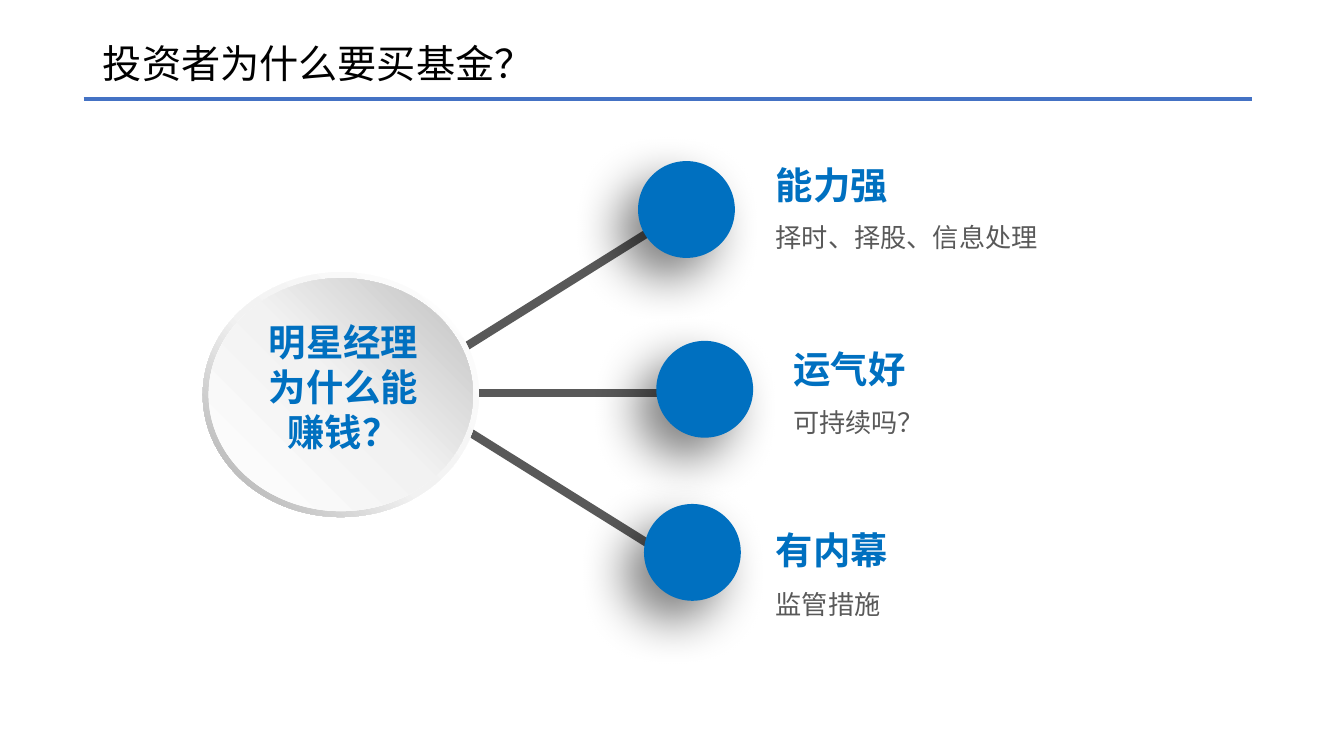
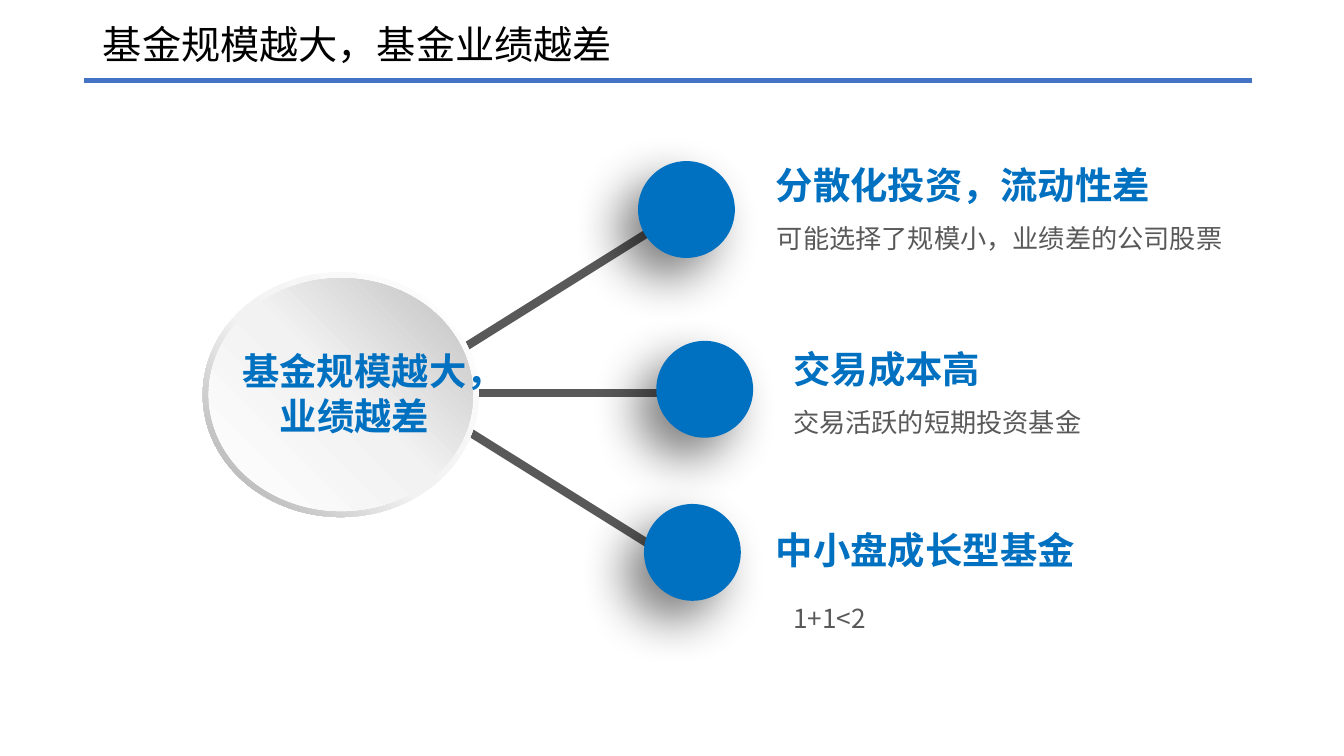
from pptx import Presentation
from pptx.dml.color import RGBColor
from pptx.enum.shapes import MSO_CONNECTOR as Connector, MSO_SHAPE as Shape
from pptx.enum.text import MSO_ANCHOR as Anchor, MSO_AUTO_SIZE as AutoSize, PP_ALIGN as Align
from pptx.oxml.ns import qn
from pptx.util import Cm, Pt
from lxml.etree import SubElement

COLORS = {
    "blue": "0070C0", "gray": "595959", "rule": "4472C4", "black": "000000",
    "white": "FFFFFF", "light": "F2F2F2", "ring": "A6A6A6", "disc": "BFBFBF",
}
FONT = "Noto Sans CJK SC"
TITLE_ONLY = 5

# Diagram geometry in cm, relative to the diagram's top left corner
DIAGRAM = (5.11, 4.06)
HUB = (0, 2.8, 6.96, 6.17)
RIM = 0.15
DOT_SIZE = 2.44
SPOKES = [((4.75, 5.85), (11.37, 1.71)),
          ((4.75, 5.85), (12.19, 5.85)),
          ((4.9, 5.69), (11.45, 9.78))]
DOTS = [(10.97, 0), (11.43, 4.53), (11.12, 8.64)]
HEADINGS = [(14.19, -0.12), (14.63, 4.53), (14.19, 9.1)]

# Detail offsets are measured from the heading, hub label boxes from the hub
SLIDES = [
    {
        "title": "投资者为什么要买基金？", "rule_top": 2.49,
        "hub": ["明星经理", "为什么能", "赚钱？"], "hub_box": (-3.79, 1.04, 14.68, 3.68),
        "branches": [("能力强", "择时、择股、信息处理", (0, 1.32)),
                     ("运气好", "可持续吗？", (0, 1.32)),
                     ("有内幕", "监管措施", (0, 1.34))],
    },
    {
        "title": "基金规模越大，基金业绩越差", "rule_top": 2.03,
        "hub": ["基金规模越大，业绩越差"], "hub_box": (0.61, 1.78, 6.43, 2.54),
        "branches": [("分散化投资，流动性差", "可能选择了规模小，业绩差的公司股票", (0.03, 1.34)),
                     ("交易成本高", "交易活跃的短期投资基金", (0, 1.32)),
                     ("中小盘成长型基金", "1+1<2", (0.44, 1.7))],
    },
]


def rgb(name):
    return RGBColor.from_string(COLORS[name])


def write(frame, lines, size, color, bold=False, align=Align.LEFT, spacing=None):
    """Fill a text frame with one paragraph per line, centred vertically."""
    frame.word_wrap = True
    frame.auto_size = AutoSize.NONE
    frame.vertical_anchor = Anchor.MIDDLE
    for index, line in enumerate(lines):
        paragraph = frame.add_paragraph() if index else frame.paragraphs[0]
        paragraph.text = line
        paragraph.alignment = align
        paragraph.line_spacing = spacing
        font = paragraph.font
        font.name, font.size, font.bold = FONT, Pt(size), bold
        font.color.rgb = rgb(color)
        properties = paragraph._p.pPr.find(qn("a:defRPr"))
        SubElement(properties, qn("a:ea"), typeface=FONT)


def add_text(shapes, box, lines, size, color, **style):
    textbox = shapes.add_textbox(*map(Cm, box))
    write(textbox.text_frame, lines, size, color, **style)


def add_line(slide, start, end, color, width):
    line = slide.shapes.add_connector(Connector.STRAIGHT, *map(Cm, start + end))
    line.line.color.rgb = rgb(color)
    line.line.width = Pt(width)
    SubElement(line._element.spPr, qn("a:effectLst"))


def add_plain_shape(shapes, kind, box):
    shape = shapes.add_shape(kind, *map(Cm, box))
    shape.shadow.inherit = False
    shape.line.fill.background()
    return shape


def set_gradient(shape, stops, angle):
    """Angle is counter-clockwise, stops are (percent, colour name)."""
    shape.fill.gradient()
    shape.fill.gradient_angle = angle
    stop_list = shape._element.spPr.find(".//" + qn("a:gsLst"))
    for stop in list(stop_list):
        stop_list.remove(stop)
    for percent, color in stops:
        stop = SubElement(stop_list, qn("a:gs"), pos=str(percent * 1000))
        SubElement(stop, qn("a:srgbClr"), val=COLORS[color])


def set_soft_shadow(shape):
    effects = shape._element.spPr.find(qn("a:effectLst"))
    shadow = SubElement(effects, qn("a:outerShdw"), blurRad=str(Pt(35)), dist=str(Pt(20)),
                        dir=str(135 * 60000), algn="tr", rotWithShape="0")
    color = SubElement(shadow, qn("a:srgbClr"), val=COLORS["black"])
    SubElement(color, qn("a:alpha"), val="50000")


def shift(origin, offset):
    return (origin[0] + offset[0], origin[1] + offset[1])


def add_header(slide, text, rule_top):
    title = slide.shapes.title
    title.left, title.top = Cm(2.34), Cm(rule_top - 1.59)
    title.width, title.height = Cm(29.21), Cm(1.5)
    write(title.text_frame, [text], 28, "black", spacing=0.9)
    add_line(slide, (2.11, rule_top), (31.55, rule_top), "rule", 3)


def add_hub(slide, box, lines, label_box):
    left, top, width, height = box
    shapes = slide.shapes.add_group_shape().shapes
    ring = add_plain_shape(shapes, Shape.DONUT, box)
    ring.adjustments[0] = 0.049
    set_gradient(ring, [(0, "white"), (55, "light"), (100, "ring")], 225)
    disc = add_plain_shape(shapes, Shape.OVAL,
                           (left + RIM, top + RIM, width - 2 * RIM, height - 2 * RIM))
    set_gradient(disc, [(0, "white"), (51, "light"), (100, "disc")], 45)
    add_text(shapes, shift(box, label_box) + label_box[2:], lines, 26.7, "blue",
             bold=True, align=Align.CENTER, spacing=Pt(32))


def add_dot(slide, position):
    dot = add_plain_shape(slide.shapes, Shape.OVAL, position + (DOT_SIZE, DOT_SIZE))
    dot.fill.solid()
    dot.fill.fore_color.rgb = rgb("blue")
    set_soft_shadow(dot)


def add_branch_text(slide, position, heading, detail, detail_offset):
    add_text(slide.shapes, position + (12, 1.4), [heading], 26.7, "blue", bold=True)
    add_text(slide.shapes, shift(position, detail_offset) + (12, 1.19), [detail],
             18.7, "gray", spacing=1.3)


def add_diagram(slide, origin, content):
    # Spokes lie behind the dots
    for start, end in SPOKES:
        add_line(slide, shift(origin, start), shift(origin, end), "gray", 6)
    for dot in DOTS:
        add_dot(slide, shift(origin, dot))
    add_hub(slide, shift(origin, HUB) + HUB[2:], content["hub"], content["hub_box"])
    for position, branch in zip(HEADINGS, content["branches"]):
        add_branch_text(slide, shift(origin, position), *branch)


def main():
    presentation = Presentation()
    presentation.slide_width, presentation.slide_height = Cm(33.87), Cm(19.05)
    for content in SLIDES:
        slide = presentation.slides.add_slide(presentation.slide_layouts[TITLE_ONLY])
        add_header(slide, content["title"], content["rule_top"])
        add_diagram(slide, DIAGRAM, content)
    presentation.save("out.pptx")


if __name__ == "__main__":
    main()
